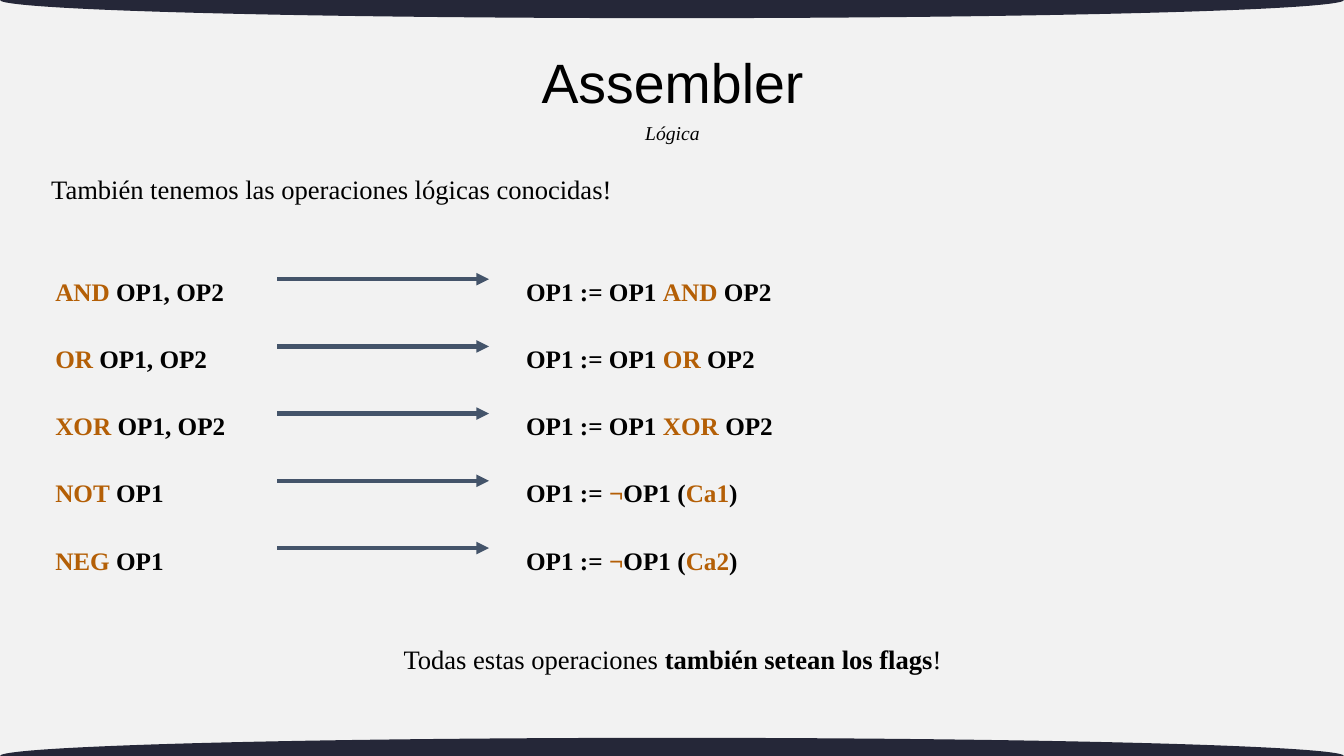
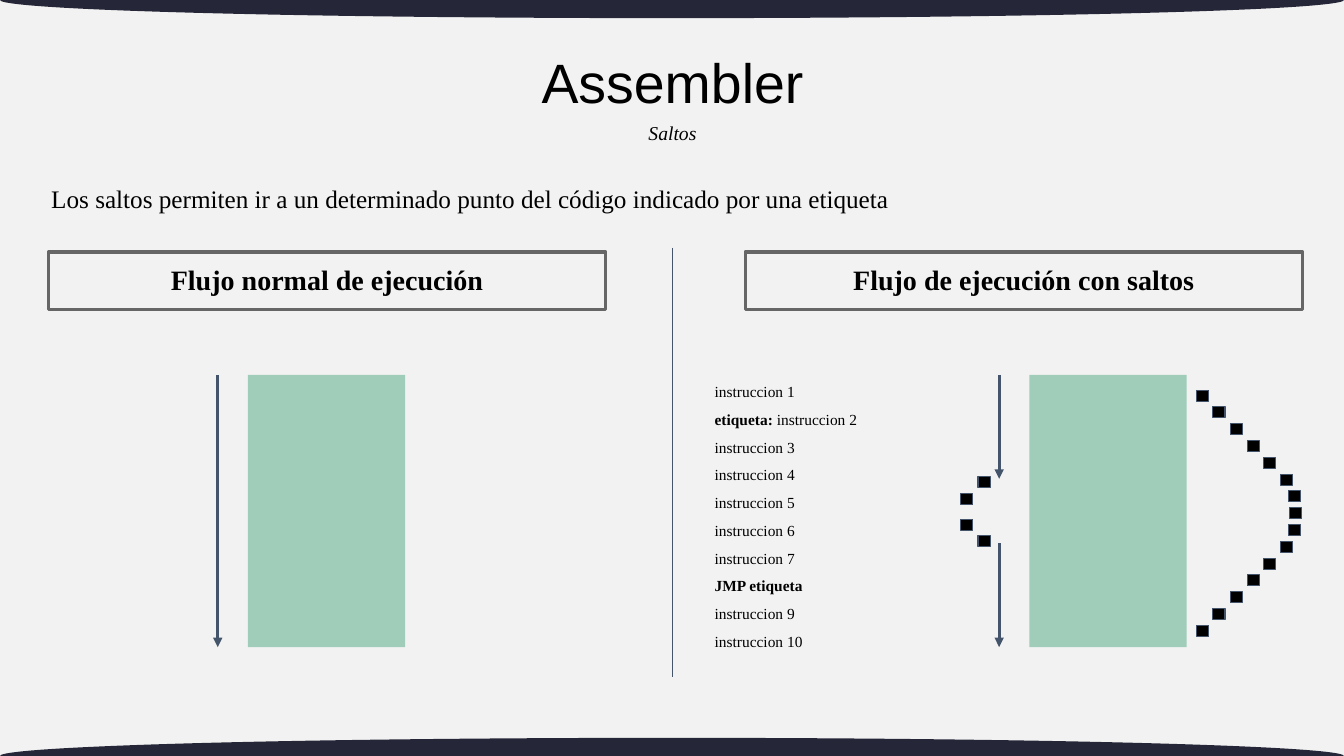
from dataclasses import dataclass

from pptx import Presentation
from pptx.dml.color import RGBColor
from pptx.enum.shapes import MSO_CONNECTOR, MSO_SHAPE
from pptx.enum.text import MSO_ANCHOR, PP_ALIGN
from pptx.oxml.ns import qn
from pptx.util import Inches, Pt
from lxml.etree import SubElement


@dataclass(frozen=True)
class Theme:
    background: str = "F2F2F2"
    band: str = "252738"
    text: str = "000000"
    accent: str = "B45F06"
    arrow: str = "44546A"
    frame: str = "666666"
    memory: str = "9FCDBA"
    title_font: str = "Arial"
    body_font: str = "Times New Roman"
    title_size: float = 39.6
    heading_size: float = 20
    lead_size: float = 19
    body_size: float = 18
    subtitle_size: float = 14
    code_size: float = 11


class Deck:
    WIDTH, HEIGHT = 13.33, 7.5
    BAND_HEIGHT = 0.36

    def __init__(self, theme):
        self.theme = theme
        self.presentation = Presentation()
        self.presentation.slide_width = Inches(self.WIDTH)
        self.presentation.slide_height = Inches(self.HEIGHT)
        self.slide = None

    def add_slide(self, title, subtitle):
        theme = self.theme
        self.slide = self.presentation.slides.add_slide(self.presentation.slide_layouts[6])
        background = self.slide.background.fill
        background.solid()
        background.fore_color.rgb = RGBColor.from_string(theme.background)
        for edge in (0, self.HEIGHT):
            self.shape(0, edge - self.BAND_HEIGHT / 2, self.WIDTH, self.BAND_HEIGHT,
                       fill=theme.band, kind=MSO_SHAPE.OVAL)
        self.text(3.51, 0.38, 6.32, 0.94, [title], theme.title_size, font=theme.title_font,
                  align=PP_ALIGN.CENTER, spacing=0.9, inset=0.05, anchor=MSO_ANCHOR.MIDDLE)
        self.text(4.4, 1.15, 4.54, 0.34, [subtitle], theme.subtitle_size,
                  align=PP_ALIGN.CENTER, inset=0.05, italic=True)

    def shape(self, left, top, width, height, fill=None, line=None, line_width=0.75,
              kind=MSO_SHAPE.RECTANGLE):
        shape = self.slide.shapes.add_shape(
            kind, Inches(left), Inches(top), Inches(width), Inches(height))
        shape.shadow.inherit = False
        if fill:
            shape.fill.solid()
            shape.fill.fore_color.rgb = RGBColor.from_string(fill)
        else:
            shape.fill.background()
        if line:
            shape.line.color.rgb = RGBColor.from_string(line)
            shape.line.width = Pt(line_width)
        else:
            shape.line.fill.background()
        return shape

    def text(self, left, top, width, height, lines, size, **style):
        box = self.slide.shapes.add_textbox(
            Inches(left), Inches(top), Inches(width), Inches(height))
        self.set_lines(box.text_frame, lines, size, **style)

    def set_lines(self, frame, lines, size, font=None, align=PP_ALIGN.LEFT, spacing=1.0,
                  inset=0.1, anchor=MSO_ANCHOR.TOP, bold=False, italic=False, accent=None):
        frame.word_wrap = True
        frame.vertical_anchor = anchor
        frame.margin_left = frame.margin_right = Inches(0.1)
        frame.margin_top = frame.margin_bottom = Inches(inset)
        for index, line in enumerate(lines):
            paragraph = frame.add_paragraph() if index else frame.paragraphs[0]
            paragraph.alignment = align
            paragraph.line_spacing = spacing
            for position, part in enumerate(line.split("*")):
                if not part:
                    continue
                emphasised = position % 2 == 1
                run = paragraph.add_run()
                run.text = part
                run.font.name = font or self.theme.body_font
                run.font.size = Pt(size)
                run.font.bold = bold or emphasised
                run.font.italic = italic
                color = accent if accent and emphasised else self.theme.text
                run.font.color.rgb = RGBColor.from_string(color)

    def heading(self, left, text):
        box = self.shape(left, 2.5, 5.53, 0.57, line=self.theme.frame, line_width=2.25)
        self.set_lines(box.text_frame, [text], self.theme.heading_size,
                       align=PP_ALIGN.CENTER, bold=True)

    def line(self, start, end, width, arrow=True):
        connector = self.slide.shapes.add_connector(
            MSO_CONNECTOR.STRAIGHT, *(Inches(value) for value in (*start, *end)))
        connector.line.color.rgb = RGBColor.from_string(self.theme.arrow)
        connector.line.width = Pt(width)
        properties = connector.element.spPr
        if arrow:
            SubElement(properties.find(qn("a:ln")), qn("a:tailEnd"), type="triangle")
        SubElement(properties, qn("a:effectLst"))

    def dots(self, points):
        for left, top in points:
            self.shape(left, top, 0.12, 0.11, fill=self.theme.text, line=self.theme.arrow)


def add_logic_slide(deck):
    theme = deck.theme
    deck.add_slide("Assembler", "Lógica")
    deck.text(0.41, 1.57, 7.74, 0.57, ["También tenemos las operaciones lógicas conocidas!"],
              theme.lead_size, spacing=1.15)
    operations = [
        ("*AND* OP1, OP2", "OP1 := OP1 *AND* OP2"),
        ("*OR* OP1, OP2", "OP1 := OP1 *OR* OP2"),
        ("*XOR* OP1, OP2", "OP1 := OP1 *XOR* OP2"),
        ("*NOT* OP1", "OP1 := *¬*OP1 (*Ca1*)"),
        ("*NEG* OP1", "OP1 := *¬*OP1 (*Ca2*)"),
    ]
    for row, (instruction, result) in enumerate(operations):
        top = 2.49 + row * 2 / 3
        for left, width, text in ((0.45, 2.23, instruction), (5.12, 3.37, result)):
            deck.text(left, top, width, 0.57, [text], theme.body_size,
                      spacing=1.5, bold=True, accent=theme.accent)
        deck.line((2.75, top + 0.28), (4.85, top + 0.28), 3)
    deck.text(2.8, 6.23, 7.74, 0.57, ["Todas estas operaciones *también setean los flags*!"],
              theme.lead_size, align=PP_ALIGN.CENTER, spacing=1.15)


def add_jumps_slide(deck):
    theme = deck.theme
    deck.add_slide("Assembler", "Saltos")
    deck.text(0.41, 1.57, 12.5, 0.48,
              ["Los saltos permiten ir a un determinado punto del código indicado por una etiqueta"],
              theme.body_size, spacing=1.5)
    deck.heading(0.48, "Flujo normal de ejecución")
    deck.heading(7.39, "Flujo de ejecución con saltos")
    deck.line((6.67, 2.46), (6.67, 6.72), 0.75, arrow=False)

    top, bottom = 3.72, 6.42
    flows = [(2.46, [(top, bottom)]), (10.21, [(top, 4.75), (5.39, bottom)])]
    for left, segments in flows:
        deck.shape(left, top, 1.56, bottom - top, fill=theme.memory)
        for start, end in segments:
            deck.line((left - 0.3, start), (left - 0.3, end), 2.25)

    deck.dots([(9.7, 4.73), (9.53, 4.9), (9.53, 5.15), (9.7, 5.31)])
    upper_arc = [11.87, 12.03, 12.2, 12.37, 12.53, 12.7, 12.78]
    arc = upper_arc + [12.79] + upper_arc[::-1]
    deck.dots((left, 3.87 + index / 6) for index, left in enumerate(arc))

    code = [f"instruccion {number}" for number in range(1, 11)]
    code[1] = "*etiqueta: *" + code[1]
    code[7] = "*JMP etiqueta*"
    deck.text(6.99, 3.6, 2.4, 2.81, code, theme.code_size, spacing=1.5)


def main():
    deck = Deck(Theme())
    add_logic_slide(deck)
    add_jumps_slide(deck)
    deck.presentation.save("out.pptx")


if __name__ == "__main__":
    main()
